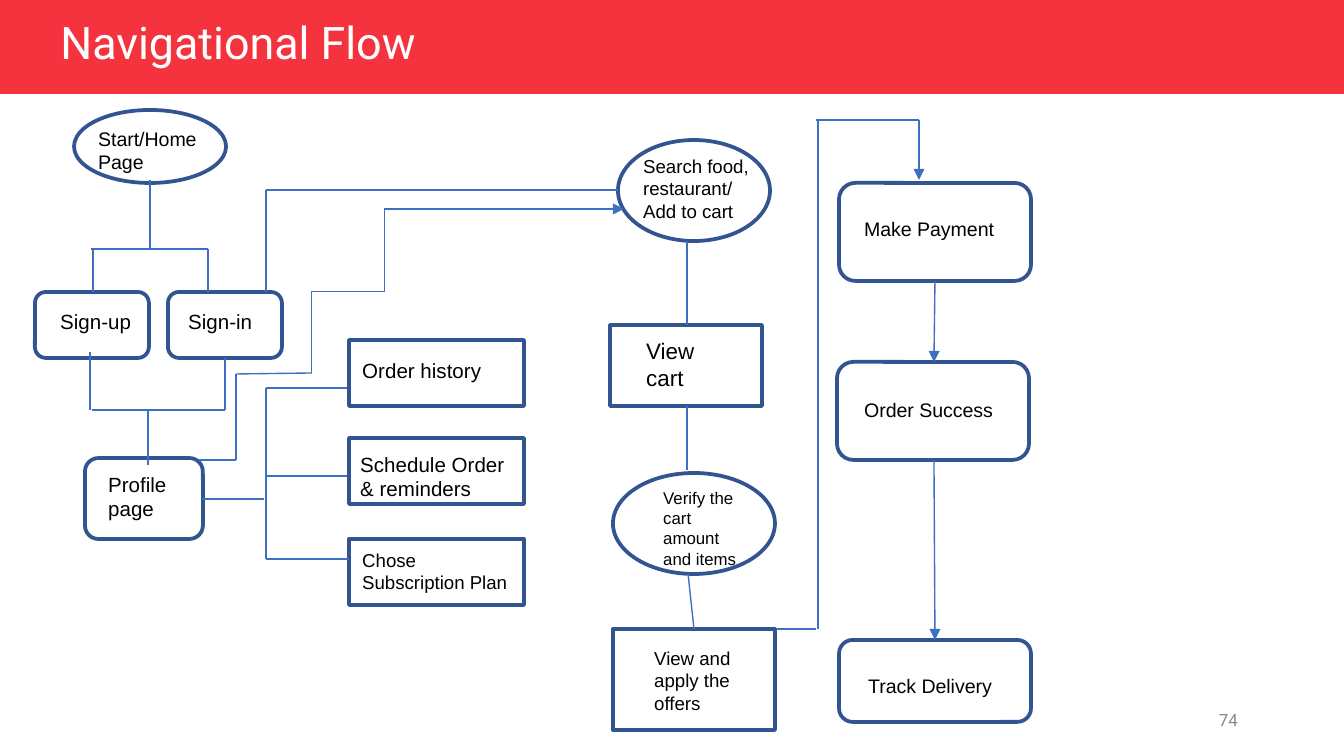
from lxml.etree import SubElement
from pptx import Presentation
from pptx.dml.color import RGBColor
from pptx.enum.shapes import MSO_CONNECTOR, MSO_SHAPE
from pptx.enum.text import MSO_ANCHOR, MSO_AUTO_SIZE, PP_ALIGN
from pptx.oxml.ns import qn
from pptx.util import Pt

SCALE = 914400 / 134.4
HUES = {"band": "F5333F", "edge": "325491", "link": "3F6FC3",
        "text": "000000", "head": "FFFFFF", "page": "888888"}
OVAL, RECT, ROUND = MSO_SHAPE.OVAL, MSO_SHAPE.RECTANGLE, MSO_SHAPE.ROUNDED_RECTANGLE

NODES = [
    (OVAL, (74, 110, 152, 73), (85, 120, 130, 60), "Start/Home Page", 10.5),
    (ROUND, (168, 292, 114, 66), (175, 302, 108, 39), "Sign-in", 11),
    (ROUND, (35, 292, 114, 66), (47, 302, 103, 39), "Sign-up", 11),
    (ROUND, (85, 458, 118, 81), (95, 465, 102, 63), "Profile page", 11),
    (RECT, (349, 340, 175, 66), (349, 351, 177, 39), "Order history", 11),
    (RECT, (349, 438, 175, 66), (347, 445, 177, 63), "Schedule Order & reminders", 11),
    (RECT, (349, 539, 175, 66), (349, 542, 177, 59), "Chose Subscription Plan", 10),
    (OVAL, (618, 140, 152, 101), (630, 148, 152, 82), "Search food, restaurant/ Add to cart", 10),
    (RECT, (610, 325, 152, 81), (633, 331, 108, 67), "View cart", 12),
    (OVAL, (613, 473, 162, 101), (650, 481, 112, 95), "Verify the cart amount and items", 9),
    (RECT, (613, 629, 162, 101), (641, 640, 108, 82), "View and apply the offers", 10),
    (ROUND, (839, 183, 192, 98), (851, 210, 159, 38), "Make Payment", 10.5),
    (ROUND, (837, 362, 192, 98), (851, 391, 159, 38), "Order Success", 10.5),
    (ROUND, (839, 640, 192, 82), (855, 667, 159, 38), "Track Delivery", 10.5),
]
LINKS = [
    (150, 180, 150, 249), (208, 249, 91, 249), (93, 249, 93, 292), (208, 249, 208, 292),
    (90, 352, 90, 410), (225, 358, 225, 410), (92, 410, 225, 410), (148, 410, 148, 465),
    (202, 499, 264, 499), (266, 388, 266, 559), (266, 388, 347, 388),
    (266, 476, 347, 476), (266, 559, 349, 559),
    (266, 292, 266, 190), (266, 190, 618, 190),
    (687, 325, 687, 241), (687, 406, 687, 470), (688, 573, 694, 629),
    (776, 629, 816, 629), (818, 629, 818, 120), (816, 120, 919, 120),
    (199, 460, 236, 460), (236, 374, 236, 460), (236, 374, 312, 373),
]
ARROWS = [(919, 120, 919, 180), (935, 281, 934, 362),
          (934, 460, 935, 640), (384, 209, 624, 209)]
BEND = (430, 328, 266, 255)


def px(*nums):
    return [round(num * SCALE) for num in nums]


def tint(name):
    return RGBColor.from_string(HUES[name])


def put(item, **form):
    for key, val in form.items():
        setattr(item, key, val)


def write(shape, text, size, hue, face="Arial", frame=None, para=None):
    body = shape.text_frame
    body.text = text
    put(body, word_wrap=True, **(frame or {}))
    line = body.paragraphs[0]
    put(line, **(para or {}))
    font = line.runs[0].font
    put(font, name=face, size=Pt(size), bold=False)
    font.color.rgb = tint(hue)


def block(slide, kind, box):
    shape = slide.shapes.add_shape(kind, *px(*box))
    shape.shadow.inherit = False
    return shape


def node(slide, kind, box, spot, text, size):
    shape = block(slide, kind, box)
    shape.fill.background()
    shape.line.color.rgb = tint("edge")
    shape.line.width = Pt(2)
    label = slide.shapes.add_textbox(*px(*spot))
    write(label, text, size, "text", frame={"auto_size": MSO_AUTO_SIZE.SHAPE_TO_FIT_TEXT})


def link(slide, ends, arrow=False, kind=MSO_CONNECTOR.STRAIGHT):
    line = slide.shapes.add_connector(kind, *px(*ends))
    line.line.color.rgb = tint("link")
    line.line.width = Pt(0.75)
    props = line._element.spPr
    if arrow:
        SubElement(props.find(qn("a:ln")), qn("a:tailEnd"), type="triangle")
    SubElement(props, qn("a:effectLst"))
    return line


def header(slide):
    band = block(slide, RECT, (0, 0, 1344, 94))
    band.fill.solid()
    band.fill.fore_color.rgb = tint("band")
    band.line.fill.background()
    title = slide.shapes.title
    slide.shapes._spTree.append(title._element)
    left, top, width, height = px(47, 17, 550, 56)
    put(title, left=left, top=top, width=width, height=height)
    write(title, "Navigational Flow", 24, "head", "Roboto",
          {"vertical_anchor": MSO_ANCHOR.MIDDLE, "auto_size": MSO_AUTO_SIZE.NONE},
          {"alignment": PP_ALIGN.LEFT, "line_spacing": 0.9})


def main():
    deck = Presentation()
    deck.slide_width, deck.slide_height = px(1344, 756)
    slide = deck.slides.add_slide(deck.slide_layouts[5])
    header(slide)
    page = slide.shapes.add_textbox(*px(949, 700, 302, 40))
    write(page, "74", 9, "page", "Roboto",
          {"vertical_anchor": MSO_ANCHOR.MIDDLE}, {"alignment": PP_ALIGN.RIGHT})
    for item in NODES:
        node(slide, *item)
    for ends in LINKS:
        link(slide, ends)
    for ends in ARROWS:
        link(slide, ends, arrow=True)
    bend = link(slide, BEND, kind=MSO_CONNECTOR.ELBOW)
    bend._element.spPr.find(qn("a:xfrm")).set("rot", "5400000")
    deck.save("out.pptx")


if __name__ == "__main__":
    main()
